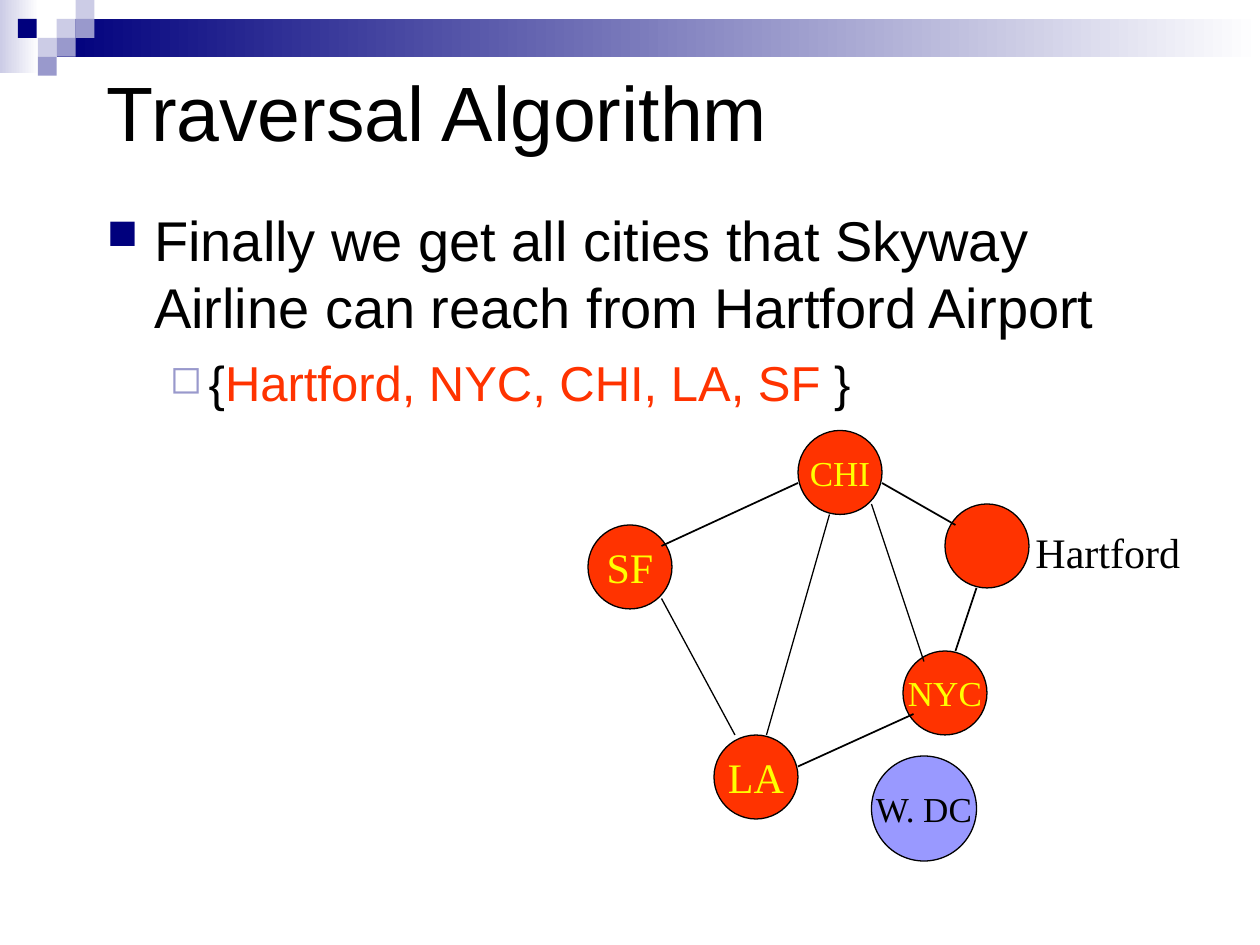
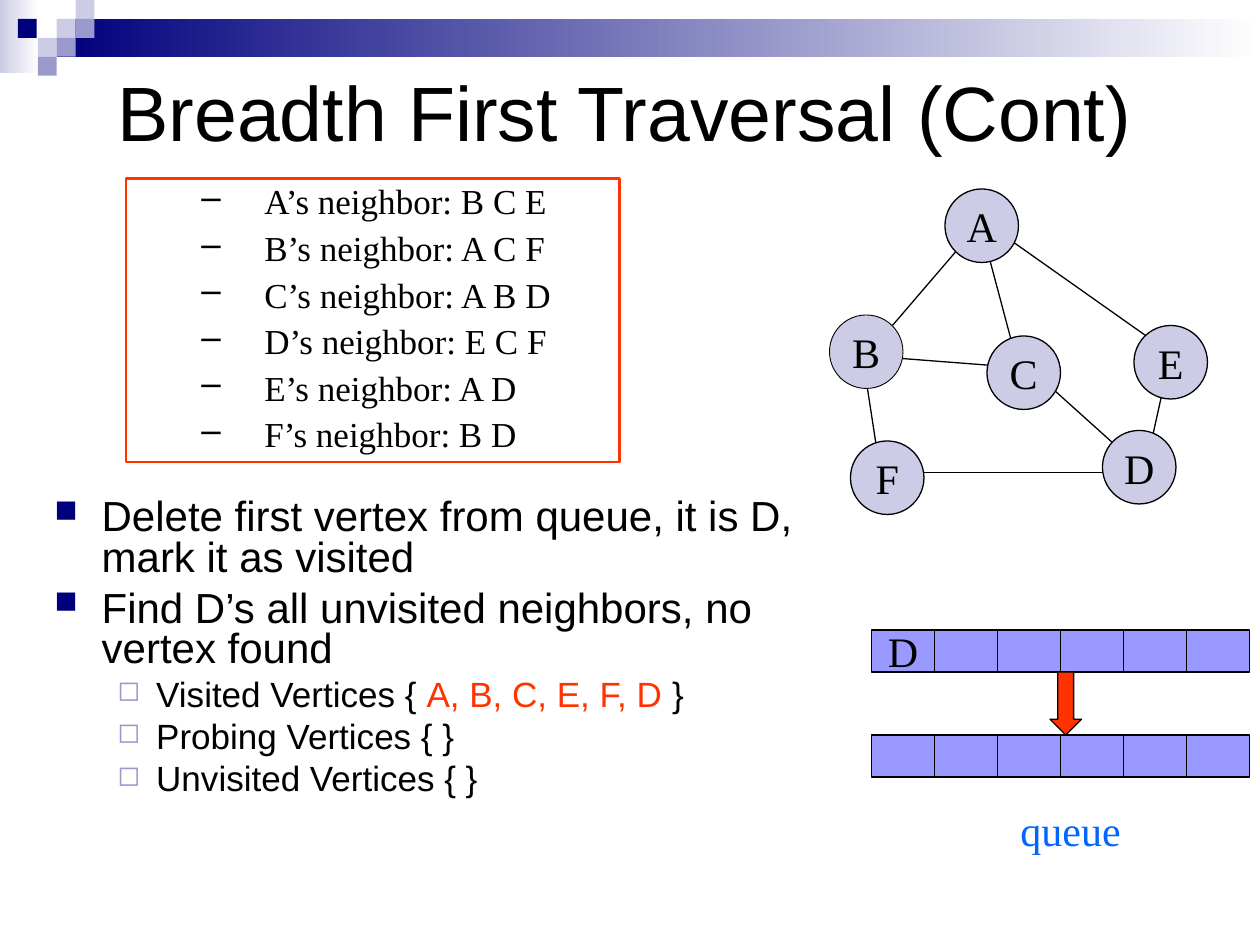
from lxml.etree import SubElement
from pptx import Presentation
from pptx.dml.color import RGBColor
from pptx.enum.shapes import MSO_CONNECTOR as Connector, MSO_SHAPE as Shape
from pptx.enum.text import MSO_ANCHOR as Anchor, PP_ALIGN as Align
from pptx.oxml.ns import qn
from pptx.util import Pt

EMU_PER_PX = 7620
BLACK = RGBColor(0x00, 0x00, 0x00)
WHITE = RGBColor(0xFF, 0xFF, 0xFF)
NAVY = RGBColor(0x00, 0x00, 0x7D)
LAVENDER = RGBColor(0xCC, 0xCC, 0xE6)
MAUVE = RGBColor(0x99, 0x99, 0xCC)
PERIWINKLE = RGBColor(0x99, 0x99, 0xFF)
RED = RGBColor(0xFF, 0x33, 0x00)
YELLOW = RGBColor(0xFF, 0xFF, 0x00)
BLUE = RGBColor(0x00, 0x66, 0xFF)
SANS, SERIF = "Arial", "Times New Roman"

SQUARE = 18
BAND_SQUARES = [
    (54, 18, LAVENDER), (72, 0, LAVENDER), (72, 18, MAUVE), (36, 36, LAVENDER),
    (17, 18, NAVY), (54, 36, MAUVE), (36, 54, MAUVE),
]
MAIN_BULLET = {"char": "■", "color": NAVY, "percent": 75, "margin": 45, "hang": 45}
SUB_BULLET = {"char": "◻", "color": MAUVE, "percent": 80, "margin": 97, "hang": 37}
DASH_BULLET = {"char": "–", "color": BLACK, "percent": 100, "margin": 120, "hang": 60}


def px(length):
    return length * EMU_PER_PX


class Deck:
    def __init__(self):
        self.prs = Presentation()
        self.prs.slide_width, self.prs.slide_height = px(1200), px(900)
        self.slide = None

    def new_slide(self):
        self.slide = self.prs.slides.add_slide(self.prs.slide_layouts[6])
        self.shape(Shape.RECTANGLE, (0, 0, 37, 70), (LAVENDER, WHITE))
        self.shape(Shape.RECTANGLE, (54, 18, 1146, 36), (NAVY, WHITE))
        for left, top, color in BAND_SQUARES:
            self.shape(Shape.RECTANGLE, (left, top, SQUARE, SQUARE), color)

    def shape(self, kind, box, fill=None, line=None, width=0.75):
        shape = self.slide.shapes.add_shape(kind, *map(px, box))
        shape.shadow.inherit = False
        if fill is None:
            shape.fill.background()
        elif isinstance(fill, RGBColor):
            shape.fill.solid()
            shape.fill.fore_color.rgb = fill
        else:
            shape.fill.gradient()
            shape.fill.gradient_angle = 0
            for stop, position, color in zip(shape.fill.gradient_stops, (0, 1), fill):
                stop.position = position
                stop.color.rgb = color
        if line is None:
            shape.line.fill.background()
        else:
            shape.line.color.rgb = line
            shape.line.width = Pt(width)
        return shape

    def textbox(self, box, wrap=True, anchor=Anchor.TOP):
        frame = self.slide.shapes.add_textbox(*map(px, box)).text_frame
        frame.word_wrap, frame.vertical_anchor = wrap, anchor
        return frame

    def paragraph(self, frame, runs, size, font=SANS, bullet=None, **layout):
        first = not frame.paragraphs[0].runs
        paragraph = frame.paragraphs[0] if first else frame.add_paragraph()
        if first:
            layout["space_before"] = Pt(0)
        for name, value in {"alignment": Align.LEFT, **layout}.items():
            setattr(paragraph, name, value)
        if bullet:
            self.bullet(paragraph, bullet)
        for text, color in runs:
            run = paragraph.add_run()
            run.text = text
            for name, value in {"name": font, "size": Pt(size)}.items():
                setattr(run.font, name, value)
            run.font.color.rgb = color

    def bullet(self, paragraph, style):
        props = paragraph._p.get_or_add_pPr()
        props.set("marL", str(px(style["margin"])))
        props.set("indent", str(-px(style["hang"])))
        color = SubElement(props, qn("a:buClr"))
        SubElement(color, qn("a:srgbClr"), val=str(style["color"]))
        SubElement(props, qn("a:buSzPct"), val=str(style["percent"] * 1000))
        SubElement(props, qn("a:buChar"), char=style["char"])

    def title(self, text, left):
        frame = self.textbox((left, 30, 1020, 150), anchor=Anchor.MIDDLE)
        self.paragraph(frame, [(text, BLACK)], 44)

    def label(self, frame, text, color=BLACK, size=24):
        frame.word_wrap, frame.vertical_anchor = False, Anchor.MIDDLE
        self.paragraph(frame, [(text, color)], size, SERIF, alignment=Align.CENTER)

    def node(self, text, left, top, diameter, fill, color=BLACK, size=24, width=0.75):
        box = (left, top, diameter, diameter)
        circle = self.shape(Shape.OVAL, box, fill, BLACK, width)
        if text:
            self.label(circle.text_frame, text, color, size)

    def edge(self, x1, y1, x2, y2, width=0.75):
        ends = map(px, (x1, y1, x2, y2))
        edge = self.slide.shapes.add_connector(Connector.STRAIGHT, *ends)
        edge.line.color.rgb = BLACK
        edge.line.width = Pt(width)
        SubElement(edge._element.spPr, qn("a:effectLst"))

    def queue(self, top, items=()):
        for i in range(6):
            box = (830 + 60 * i, top, 60, 40)
            cell = self.shape(Shape.RECTANGLE, box, PERIWINKLE, BLACK)
            if i < len(items):
                self.label(cell.text_frame, items[i])


def build_reachable_cities(deck):
    deck.new_slide()
    deck.title("Traversal Algorithm", 90)
    body = deck.textbox((90, 190, 1020, 540))
    finding = "Finally we get all cities that Skyway Airline can reach from Hartford Airport"
    deck.paragraph(body, [(finding, BLACK)], 32, bullet=MAIN_BULLET)
    cities = [("{", BLACK), ("Hartford, NYC, CHI, LA, SF", RED), (" }", BLACK)]
    deck.paragraph(body, cities, 28, bullet=SUB_BULLET, space_before=Pt(7))

    for city, left, top, size in [
        ("CHI", 760, 410, 20), ("", 900, 480, 20), ("NYC", 860, 620, 20),
        ("LA", 680, 700, 24), ("SF", 560, 500, 24),
    ]:
        deck.node(city, left, top, 80, RED, YELLOW, size)
    for flight in [
        (630, 520, 760, 460, 1), (630, 570, 700, 700), (790, 490, 730, 700),
        (830, 480, 880, 630), (760, 730, 870, 680, 1), (840, 460, 910, 500, 1),
        (930, 560, 910, 620, 1),
    ]:
        deck.edge(*flight)
    deck.label(deck.textbox((965, 490, 180, 70)), "Hartford")
    deck.node("W. DC", 830, 720, 100, PERIWINKLE, size=20)


def build_breadth_first(deck):
    deck.new_slide()
    for edge in [
        (840, 340, 970, 350), (910, 240, 850, 310), (930, 200, 970, 350),
        (950, 220, 1120, 340), (820, 330, 840, 460), (1110, 360, 1090, 450),
        (980, 350, 1080, 440), (860, 450, 1070, 450),
    ]:
        deck.edge(*edge)
    deck.title("Breadth First Traversal (Cont)", 100)

    body = deck.textbox((40, 470, 780, 300))
    for step in [
        "Delete first vertex from queue, it is D, mark it as visited",
        "Find D’s all unvisited neighbors, no vertex found",
    ]:
        deck.paragraph(body, [(step, BLACK)], 24, bullet=MAIN_BULLET,
                       line_spacing=0.8, space_before=Pt(6))
    for vertices in [
        [("Visited Vertices { ", BLACK), ("A, B, C, E, F, D ", RED), ("}", BLACK)],
        [("Probing Vertices { }", BLACK)],
        [("Unvisited Vertices { }", BLACK)],
    ]:
        deck.paragraph(body, vertices, 20, bullet=SUB_BULLET,
                       line_spacing=0.8, space_before=Pt(5))

    for vertex, left, top, width in [
        ("A", 900, 180, 0.75), ("B", 790, 300, 0.5), ("C", 940, 320, 0.75),
        ("E", 1080, 310, 0.75), ("F", 810, 420, 0.75), ("D", 1050, 410, 0.75),
    ]:
        deck.node(vertex, left, top, 70, LAVENDER, width=width)

    neighbors = deck.shape(Shape.RECTANGLE, (120, 170, 470, 270), None, RED, 1.5).text_frame
    neighbors.word_wrap, neighbors.vertical_anchor = True, Anchor.TOP
    for vertex, adjacent in zip("ABCDEF", ["B C E", "A C F", "A B D", "E C F", "A D", "B D"]):
        deck.paragraph(neighbors, [(f"{vertex}’s neighbor: {adjacent}", BLACK)], 20, SERIF,
                       DASH_BULLET, line_spacing=0.9, space_before=Pt(5))

    deck.queue(600, ["D"])
    deck.paragraph(deck.textbox((960, 760, 160, 60)), [("queue", BLUE)], 24, SERIF)
    deck.queue(700)
    deck.shape(Shape.DOWN_ARROW, (1000, 640, 30, 60), RED, BLACK)


def main():
    deck = Deck()
    build_reachable_cities(deck)
    build_breadth_first(deck)
    deck.prs.save("out.pptx")


if __name__ == "__main__":
    main()
